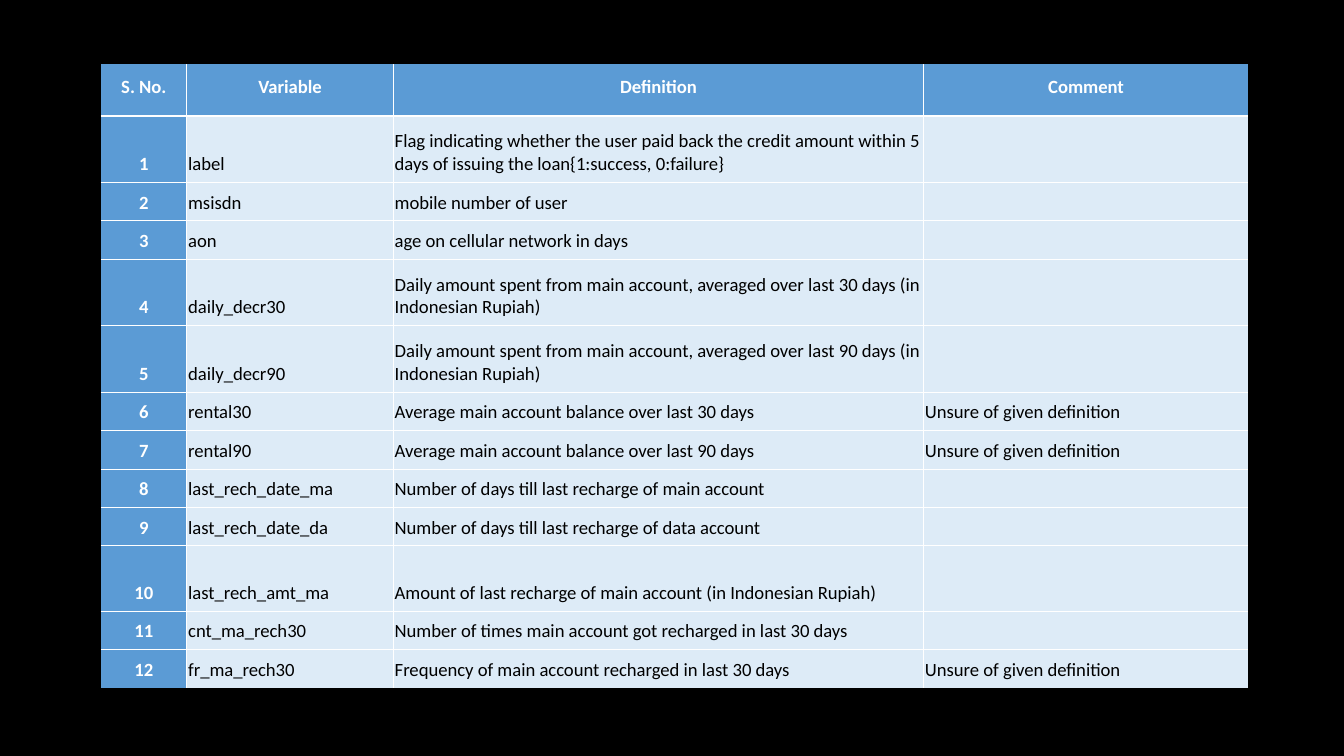
"""Build a slide with a data dictionary table of loan variables."""
from lxml import etree
from pptx import Presentation
from pptx.dml.color import RGBColor
from pptx.enum.text import MSO_ANCHOR, PP_ALIGN
from pptx.oxml.ns import qn
from pptx.util import Inches, Pt

MIDDLE, BOTTOM = MSO_ANCHOR.MIDDLE, MSO_ANCHOR.BOTTOM
CENTER, LEFT = PP_ALIGN.CENTER, PP_ALIGN.LEFT
BLACK = RGBColor(0x00, 0x00, 0x00)
WHITE = RGBColor(0xFF, 0xFF, 0xFF)
BLUE = RGBColor(0x5B, 0x9B, 0xD5)
PALE = RGBColor(0xDD, 0xEB, 0xF7)

UNSURE = "Unsure of given definition"
HEADER = ("S. No.", "Variable", "Definition", "Comment")
VARIABLES = [
    ("label", "Flag indicating whether the user paid back the credit amount "
              "within 5 days of issuing the loan{1:success, 0:failure}", ""),
    ("msisdn", "mobile number of user", ""),
    ("aon", "age on cellular network in days", ""),
    ("daily_decr30", "Daily amount spent from main account, averaged over "
                     "last 30 days (in Indonesian Rupiah)", ""),
    ("daily_decr90", "Daily amount spent from main account, averaged over "
                     "last 90 days (in Indonesian Rupiah)", ""),
    ("rental30", "Average main account balance over last 30 days", UNSURE),
    ("rental90", "Average main account balance over last 90 days", UNSURE),
    ("last_rech_date_ma", "Number of days till last recharge of main account", ""),
    ("last_rech_date_da", "Number of days till last recharge of data account", ""),
    ("last_rech_amt_ma", "Amount of last recharge of main account (in Indonesian Rupiah)", ""),
    ("cnt_ma_rech30", "Number of times main account got recharged in last 30 days", ""),
    ("fr_ma_rech30", "Frequency of main account recharged in last 30 days", UNSURE),
]
ROWS = [HEADER] + [(str(n), *v) for n, v in enumerate(VARIABLES, 1)]
COL_SHARES = (7.5, 18, 46.2, 28.3)
ROW_UNITS = (4, 5.2, 3, 3, 5.2, 5.2, 3, 3, 3, 3, 5.1, 3, 3)
CELL_FORMAT = {
    "margin_left": Inches(0.01),
    "margin_right": Inches(0.01),
    "margin_top": Inches(0.01),
    "margin_bottom": Inches(0.05),
}
FONT_FORMAT = {"name": "Calibri", "size": Pt(10)}


def set_format(obj, values):
    for name, value in values.items():
        setattr(obj, name, value)


def add_border(cell, side, width):
    ln = etree.SubElement(cell._tc.get_or_add_tcPr(), qn(f"a:ln{side}"), w=str(Pt(width)))
    if width:
        fill = etree.SubElement(ln, qn("a:solidFill"))
        etree.SubElement(fill, qn("a:srgbClr"), val=str(WHITE))
    else:
        etree.SubElement(ln, qn("a:noFill"))


prs = Presentation()
prs.slide_width = Inches(10)
prs.slide_height = prs.slide_width * 9 // 16
s = prs.slides.add_slide(prs.slide_layouts[6])
s.background.fill.solid()
s.background.fill.fore_color.rgb = BLACK

width, height = Inches(8.54), Inches(4.64)
last_row, last_col = len(ROWS) - 1, len(HEADER) - 1
table = s.shapes.add_table(len(ROWS), len(HEADER), Inches(0.75), Inches(0.48), width, height).table
for col, share in zip(table.columns, COL_SHARES):
    col.width = int(width * share / sum(COL_SHARES))
for row, units in zip(table.rows, ROW_UNITS):
    row.height = int(height * units / sum(ROW_UNITS))

for i, texts in enumerate(ROWS):
    for j, text in enumerate(texts):
        cell = table.cell(i, j)
        heading = i == 0 or j == 0
        set_format(cell, CELL_FORMAT)
        cell.vertical_anchor = MIDDLE if i == 0 else BOTTOM
        add_border(cell, "L", 0.5 if j > 0 else 0)
        add_border(cell, "R", 0.5 if j < last_col else 0)
        add_border(cell, "T", {0: 0, 1: 1.5}.get(i, 0.5))
        add_border(cell, "B", {0: 1.5, last_row: 0}.get(i, 0.5))
        cell.fill.solid()
        cell.fill.fore_color.rgb = BLUE if heading else PALE
        p = cell.text_frame.paragraphs[0]
        p.alignment = CENTER if heading else LEFT
        if text:
            r = p.add_run()
            r.text = text
            set_format(r.font, FONT_FORMAT)
            r.font.bold = heading
            r.font.color.rgb = WHITE if heading else BLACK
        else:
            etree.SubElement(p._p, qn("a:endParaRPr"), sz="1000")

prs.save("out.pptx")
